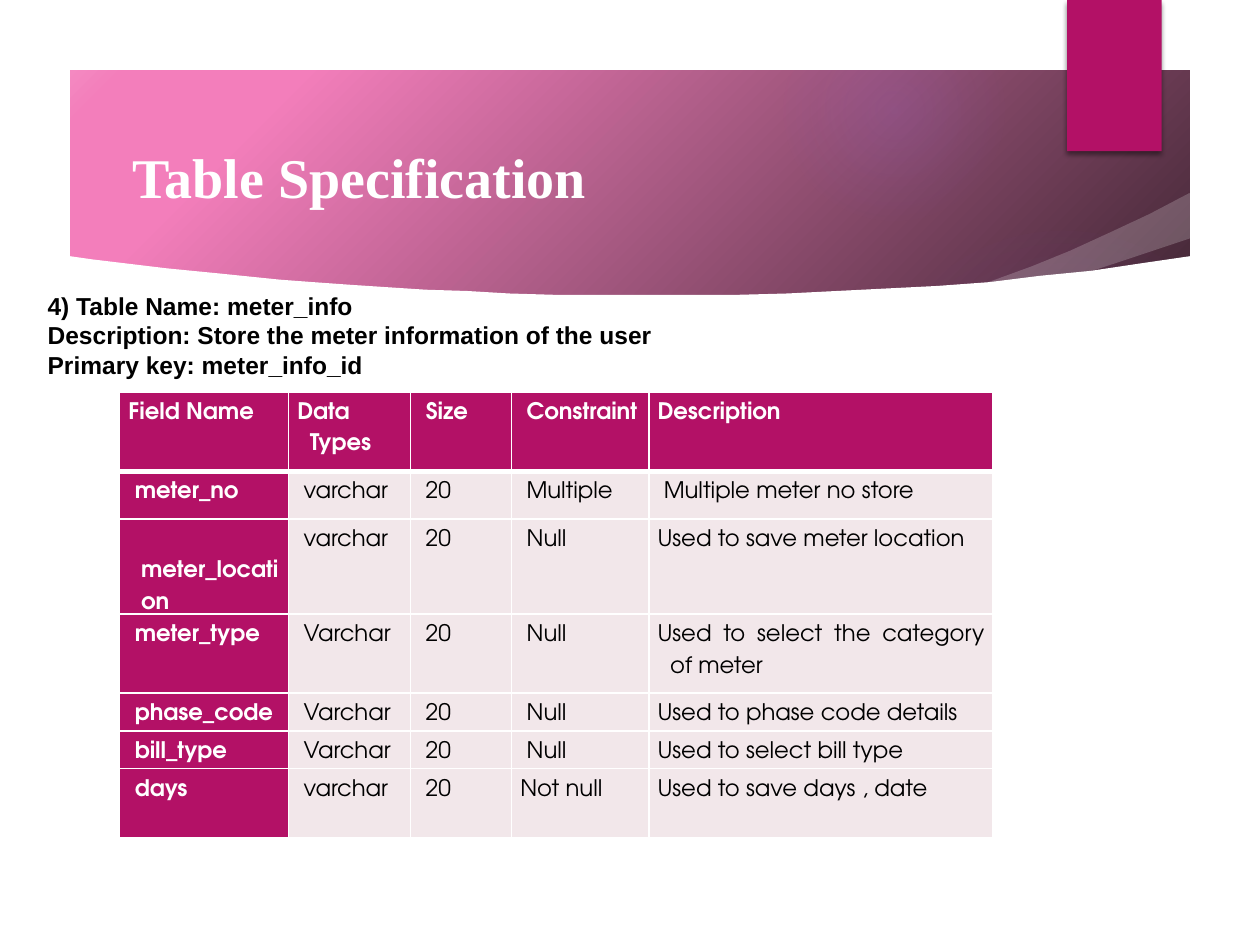
from lxml import etree
from pptx import Presentation
from pptx.dml.color import RGBColor
from pptx.enum.shapes import MSO_SHAPE as Preset
from pptx.enum.text import MSO_ANCHOR as Anchor, MSO_AUTO_SIZE as AutoSize, PP_ALIGN as Align
from pptx.oxml import parse_xml
from pptx.oxml.ns import nsdecls, qn
from pptx.util import Inches, Pt

WHITE = RGBColor(0xFF, 0xFF, 0xFF)
BLACK = RGBColor(0, 0, 0)
MAGENTA = RGBColor(0xB3, 0x11, 0x66)
PALE = RGBColor(0xF2, 0xE7, 0xEA)
VIOLET = RGBColor(0x9B, 0x6B, 0xF2)
NIGHT = RGBColor(0x0F, 0x0F, 0x0F)
PINK = RGBColor(0xF3, 0x7E, 0xBB)
PINK_LIGHT = RGBColor(0xF5, 0x94, 0xC7)
PINK_PALE = RGBColor(0xF7, 0xA4, 0xD0)


def radial_fill(props, stops, focus):
    """Swap a solid fill for a circular gradient of (percent, colour, opacity)."""
    gradient = parse_xml(f'<a:gradFill {nsdecls("a")} rotWithShape="1"><a:gsLst/>'
                         '<a:path path="circle"><a:fillToRect/></a:path></a:gradFill>')
    for position, colour, opacity in stops:
        stop = etree.SubElement(gradient[0], qn("a:gs"), pos=str(position * 1000))
        tint = etree.SubElement(stop, qn("a:srgbClr"), val=str(colour))
        if opacity < 100:
            etree.SubElement(tint, qn("a:alpha"), val=str(opacity * 1000))
    for side, share in zip("ltrb", focus):
        gradient[1][0].set(side, str(share * 1000))
    solid = props.find(qn("a:solidFill"))
    props.replace(solid, gradient)


def plain(shape, colour):
    """Flat colour, no outline and no shadow."""
    shape.fill.solid()
    shape.fill.fore_color.rgb = colour
    shape.line.fill.background()
    shape.shadow.inherit = False
    return shape


deck = Presentation()
deck.slide_width, deck.slide_height = Inches(10), Inches(7.5)
slide = deck.slides.add_slide(deck.slide_layouts[5])
shapes = slide.shapes

# Background gradient, spreading from the lower right corner
slide.background.fill.solid()
radial_fill(slide.element.find(".//" + qn("p:bgPr")),
            [(18, NIGHT, 100), (83, PINK, 100), (91, PINK, 100),
             (96, PINK_LIGHT, 100), (99, PINK_PALE, 100)], (100, 100, 0, 0))

# Soft glows in the banner: left, top, diameter, opacity at centre and middle
for left, top, size, centre, middle in [(6.89, 1.83, 3.08, 7, 6), (6.22, 0, 1.75, 14, 7)]:
    glow = plain(shapes.add_shape(Preset.OVAL, Inches(left), Inches(top),
                                  Inches(size), Inches(size)), VIOLET)
    radial_fill(glow.element.spPr,
                [(0, VIOLET, centre), (36, VIOLET, middle), (72, VIOLET, 0)],
                (50, 50, 50, 50))

# Translucent swoosh, then the white panel with its curved top edge
swoosh_edge = [(6.99, 2.34), (7.4, 2.33), (8, 2.29), (8.7, 2.21), (9.56, 2.08),
               (9.54, 1.92), (9.51, 1.74), (9.17, 1.85), (8.84, 1.94), (8.5, 2.03),
               (8.18, 2.1), (7.85, 2.16), (7.54, 2.21), (7.24, 2.26), (6.96, 2.29)]
panel_edge = [(0.53, 2.03), (0.53, 6.99), (9.47, 6.99), (9.47, 2.03), (9.06, 2.09),
              (8.66, 2.15), (8.25, 2.19), (7.85, 2.24), (7.44, 2.27), (7.04, 2.29),
              (6.64, 2.31), (6.25, 2.33), (5.87, 2.34), (5.11, 2.34), (4.39, 2.34),
              (4.04, 2.33), (3.71, 2.31), (3.38, 2.3), (3.07, 2.28), (2.77, 2.26),
              (2.49, 2.24), (2.22, 2.22), (1.73, 2.17), (1.32, 2.13), (0.99, 2.09),
              (0.74, 2.06)]
for edge, turn, opacity in [(swoosh_edge, -9.8, 20), (panel_edge, 0, 100)]:
    start, *corners = [(Inches(x), Inches(y)) for x, y in edge]
    outline = shapes.build_freeform(*start)
    outline.add_line_segments(corners, close=True)
    panel = plain(outline.convert_to_shape(), WHITE)
    panel.rotation = turn
    if opacity < 100:
        tint = panel.element.spPr.find(qn("a:solidFill"))[0]
        etree.SubElement(tint, qn("a:alpha"), val=str(opacity * 1000))

# White frame around the slide
frame = plain(shapes.add_shape(Preset.FRAME, 0, 0, deck.slide_width, deck.slide_height), WHITE)
frame.adjustments[0] = 0.074

# Ribbon with a soft shadow
ribbon = plain(shapes.add_shape(Preset.RECTANGLE, Inches(8.47), 0, Inches(0.75), Inches(1.2)),
               MAGENTA)
ribbon.element.spPr.find(qn("a:effectLst")).append(parse_xml(
    f'<a:outerShdw {nsdecls("a")} blurRad="{Pt(3)}" dist="{Pt(2)}" dir="5400000" rotWithShape="0">'
    '<a:srgbClr val="000000"><a:alpha val="45000"/></a:srgbClr></a:outerShdw>'))

# Title, brought in front of the banner
title = shapes.title
title.left, title.top, title.width, title.height = map(Inches, (0.95, 1.01, 6.94, 0.78))
title.element.getparent().append(title.element)
title.text_frame.auto_size = AutoSize.NONE
title.text_frame.vertical_anchor = Anchor.MIDDLE
heading = title.text_frame.paragraphs[0]
heading.alignment = Align.LEFT
heading_run = heading.add_run()
heading_run.text = "Table Specification"
heading_run.font.name, heading_run.font.size = "Times New Roman", Pt(32)
heading_run.font.bold, heading_run.font.color.rgb = True, WHITE

# Field table
rows = [
    ("Field Name", "Data Types", " Size", " Constraint", "Description"),
    (" meter_no", " varchar", " 20", " Multiple", " Multiple meter no store"),
    (" meter_location", " varchar", " 20", " Null", "Used to save meter location"),
    (" meter_type", " Varchar", " 20", " Null", "Used to select the category of meter"),
    (" phase_code", " Varchar", " 20", " Null", "Used to phase code details"),
    (" bill_type", " Varchar", " 20", " Null", "Used to select bill type"),
    (" days", " varchar", " 20", "Not null", "Used to save days , date"),
]
column_widths = [1.34, 0.97, 0.8, 1.09, 2.73]
row_heights = [0.63, 0.38, 0.3, 0.63, 0.3, 0.3, 0.55]
fields = shapes.add_table(len(rows), len(column_widths), Inches(0.95), Inches(3.11),
                          Inches(sum(column_widths)), Inches(sum(row_heights))).table
for column, width in zip(fields.columns, column_widths):
    column.width = Inches(width)
for row, height in zip(fields.rows, row_heights):
    row.height = Inches(height)

for r, row in enumerate(rows):
    for c, wording in enumerate(row):
        strong = r == 0 or c == 0
        cell = fields.cell(r, c)
        cell.margin_left = cell.margin_right = Inches(0.07)
        cell.margin_top = cell.margin_bottom = 0
        cell.fill.solid()
        cell.fill.fore_color.rgb = MAGENTA if strong else PALE
        line = cell.text_frame.paragraphs[0]
        line.alignment, line.line_spacing = Align.JUSTIFY, 1.5
        indents = line._p.get_or_add_pPr()
        indents.set("marL", str(Inches(0.1)))
        indents.set("indent", str(Inches(-0.2)))
        run = line.add_run()
        run.text = wording
        run.font.name, run.font.size, run.font.bold = "TeX Gyre Adventor", Pt(13), strong
        run.font.color.rgb = WHITE if strong else BLACK
        # White rules, thicker under the header
        weights = {"L": 1, "R": 1, "T": 3 if r == 1 else 1, "B": 3 if r == 0 else 1}
        for place, (side, weight) in enumerate(weights.items()):
            cell._tc.get_or_add_tcPr().insert(place, parse_xml(
                f'<a:ln{side} {nsdecls("a")} w="{Pt(weight)}"><a:solidFill>'
                f'<a:srgbClr val="{WHITE}"/></a:solidFill></a:ln{side}>'))

# Table name, description and key
summary = shapes.add_textbox(Inches(0.28), Inches(2.27), Inches(9), Inches(0.78)).text_frame
summary.word_wrap = True
summary.vertical_anchor = Anchor.MIDDLE
for i, wording in enumerate(["4) Table Name: meter_info",
                             "Description: Store the meter information of the user",
                             "Primary key: meter_info_id"]):
    line = summary.add_paragraph() if i else summary.paragraphs[0]
    line.alignment = Align.JUSTIFY
    run = line.add_run()
    run.text = wording
    run.font.name, run.font.size, run.font.bold = "Arial", Pt(14), True
    run.font.color.rgb = BLACK

deck.save("out.pptx")
